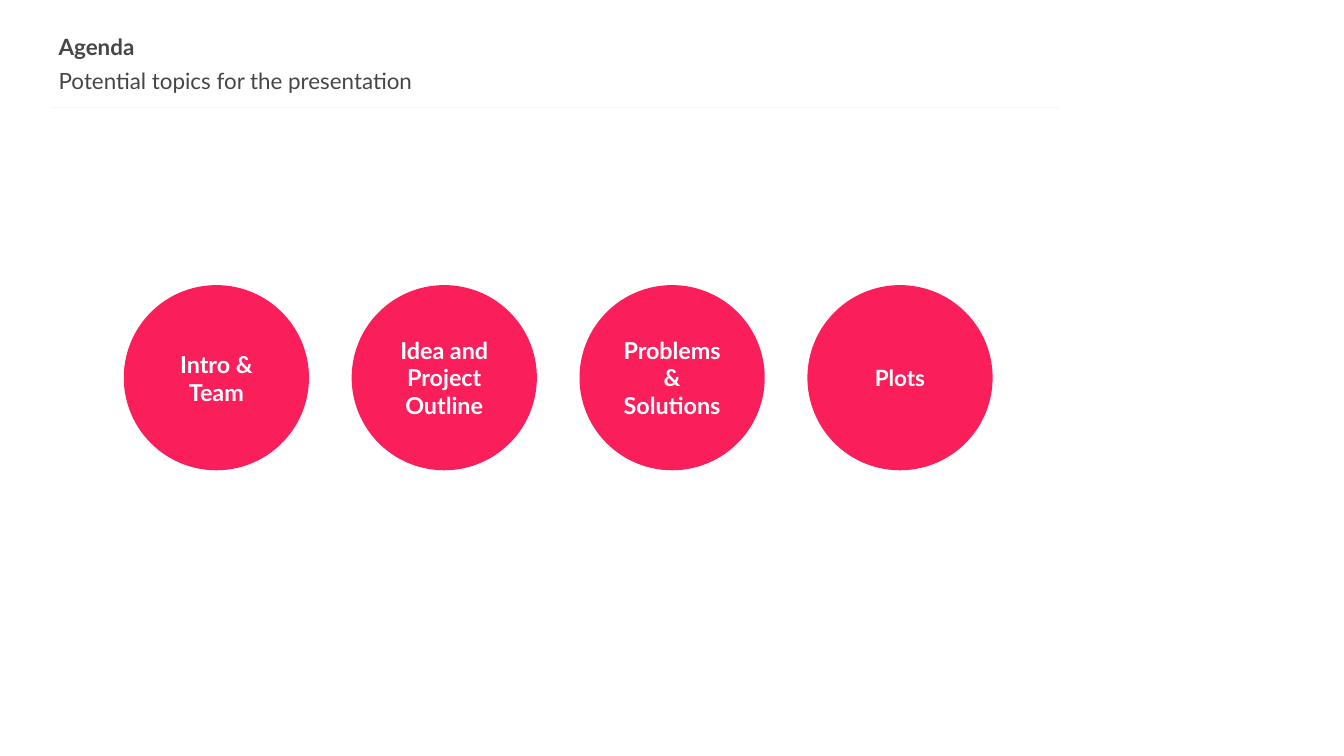
from dataclasses import dataclass

from lxml import etree
from pptx import Presentation
from pptx.dml.color import RGBColor
from pptx.enum import shapes, text
from pptx.oxml import ns
from pptx.util import Cm, Pt


@dataclass(frozen=True)
class Theme:
    font: str = "Lato"
    ink: RGBColor = RGBColor(0x46, 0x46, 0x46)
    accent: RGBColor = RGBColor(0xFA, 0x1E, 0x5A)
    on_accent: RGBColor = RGBColor(0xFF, 0xFF, 0xFF)
    rule: RGBColor = RGBColor(0xF7, 0xF7, 0xFB)
    body: float = 12
    topic: float = 12.5


THEME = Theme()

TOPICS = [
    ("Intro & Team", THEME.topic),
    ("Idea and Project Outline", THEME.topic),
    ("Problems & Solutions", THEME.topic),
    ("Plots", THEME.body),
]


def add_run(paragraph, wording, size, color, bold=False):
    run = paragraph.add_run()
    run.text = wording
    run.font.name = THEME.font
    run.font.size = Pt(size)
    run.font.bold = bold
    run.font.color.rgb = color


def set_insets(frame, horizontal, vertical):
    frame.margin_left = frame.margin_right = Cm(horizontal)
    frame.margin_top = frame.margin_bottom = Cm(vertical)
    frame.word_wrap = True


def add_heading_line(slide, left, top, width, height, wording, bold=False):
    frame = slide.shapes.add_textbox(
        Cm(left), Cm(top), Cm(width), Cm(height)).text_frame
    set_insets(frame, 0.25, 0.25)
    frame.vertical_anchor = text.MSO_ANCHOR.TOP
    paragraph = frame.paragraphs[0]
    add_run(paragraph, wording, THEME.body, THEME.ink, bold)
    return paragraph


def add_header(slide, left, top, width, title, subtitle):
    """Title and subtitle above a thin rule."""
    rule_left, rule_top, rule_width = left + 0.11, top + 1.65, 19.05
    rule = slide.shapes.add_connector(
        shapes.MSO_CONNECTOR.STRAIGHT, Cm(rule_left), Cm(rule_top),
        Cm(rule_left + rule_width), Cm(rule_top))
    rule.line.color.rgb = THEME.rule
    rule.line.width = Pt(0.75)
    etree.SubElement(rule._element.spPr, ns.qn("a:effectLst"))

    add_heading_line(slide, left, top, width, 1.02, title, bold=True)
    summary = add_heading_line(slide, left, top + 0.56, 20.35, 1.02, subtitle)
    summary.line_spacing = 1.15
    summary.space_after = Pt(12)


def add_topic(slide, left, top, diameter, wording, size):
    circle = slide.shapes.add_shape(
        shapes.MSO_SHAPE.OVAL, Cm(left), Cm(top), Cm(diameter), Cm(diameter))
    circle.shadow.inherit = False
    circle.fill.solid()
    circle.fill.fore_color.rgb = THEME.accent
    circle.line.fill.background()
    frame = circle.text_frame
    set_insets(frame, 0.18, 0.1)
    frame.vertical_anchor = text.MSO_ANCHOR.MIDDLE
    paragraph = frame.paragraphs[0]
    paragraph.alignment = text.PP_ALIGN.CENTER
    add_run(paragraph, wording, size, THEME.on_accent, bold=True)


def add_topic_row(slide, left, top, width, diameter, topics):
    """Equally spaced circles filling the given width."""
    pitch = (width - diameter) / (len(topics) - 1)
    for index, (wording, size) in enumerate(topics):
        add_topic(slide, left + index * pitch, top, diameter, wording, size)


def main():
    presentation = Presentation()
    presentation.slide_width = Cm(25.4)
    presentation.slide_height = Cm(14.29)
    slide = presentation.slides.add_slide(presentation.slide_layouts[6])
    add_header(slide, 0.86, 0.38, 23.67,
               "Agenda", "Potential topics for the presentation")
    add_topic_row(slide, 2.34, 5.39, 16.42, 3.5, TOPICS)
    presentation.save("out.pptx")


if __name__ == "__main__":
    main()
